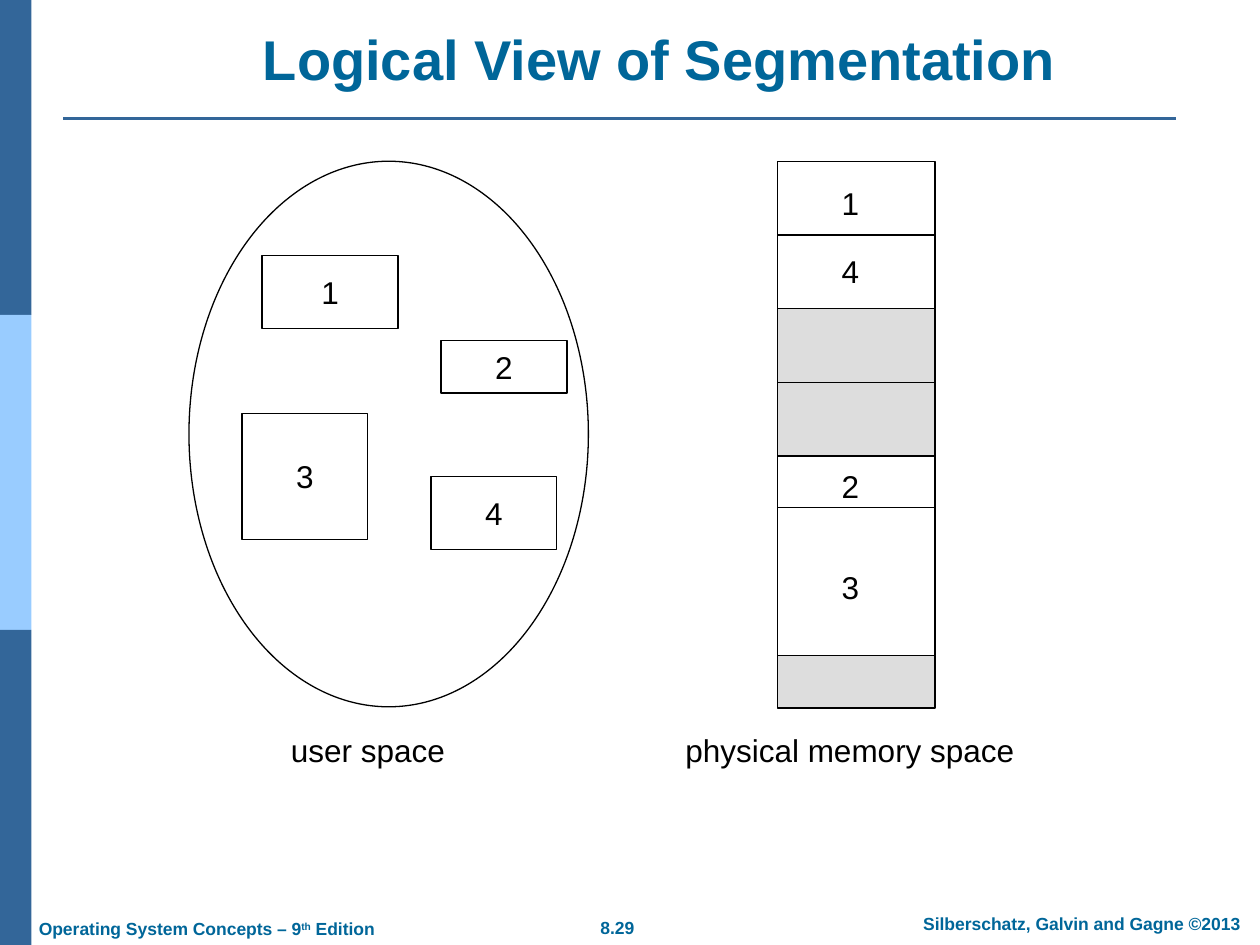
"""Build the Logical View of Segmentation slide."""
from lxml import etree
from pptx import Presentation
from pptx.dml.color import RGBColor
from pptx.enum.shapes import MSO_CONNECTOR as CONN, MSO_SHAPE as SHAPE
from pptx.enum.text import MSO_ANCHOR as ANCHOR, PP_ALIGN as ALIGN
from pptx.oxml.ns import qn
from pptx.util import Inches, Pt

COLORS = {"navy": "336699", "sky": "99CCFF", "teal": "006699",
          "black": "000000", "white": "FFFFFF", "gray": "DDDDDD"}
RGB = {name: RGBColor.from_string(value) for name, value in COLORS.items()}

prs = Presentation()
prs.slide_width, prs.slide_height = Inches(10), Inches(7.5)
s = prs.slides.add_slide(prs.slide_layouts[6])


def add_block(kind, box, fill, line=None):
    sp = s.shapes.add_shape(kind, *[Inches(v) for v in box])
    sp.shadow.inherit = False
    sp.fill.solid()
    sp.fill.fore_color.rgb = RGB[fill]
    if line:
        sp.line.color.rgb = RGB[line]
        sp.line.width = Pt(0.75)
    else:
        sp.line.fill.background()
    return sp


def write(sp, texts, size=18, color="black", bold=False,
          align=ALIGN.CENTER, anchor=ANCHOR.MIDDLE, wrap=False):
    tf = sp.text_frame
    tf.word_wrap = wrap
    tf.vertical_anchor = anchor
    p = tf.paragraphs[0]
    p.alignment = align
    for text in texts:
        r = p.add_run()
        r.text = text
        r.font.name = "Arial"
        r.font.size = Pt(size)
        r.font.bold = bold
        r.font.color.rgb = RGB[color]
    return p


for i, fill in enumerate(["navy", "sky", "navy"]):
    add_block(SHAPE.RECTANGLE, (0, 2.5 * i, 0.25, 2.5), fill)

footers = [
    ((4.41, 7.23, 0.98, 0.27), ["8.29"], ALIGN.CENTER),
    ((7.1, 7.2, 2.97, 0.27), ["Silberschatz, Galvin and Gagne ©2013"], ALIGN.CENTER),
    ((0.21, 7.24, 3, 0.27), ["Operating System Concepts – 9", "th", " Edition"], ALIGN.LEFT),
]
for box, texts, align in footers:
    sp = s.shapes.add_textbox(*[Inches(v) for v in box])
    p = write(sp, texts, 10, "teal", True, align, ANCHOR.TOP, True)
    if len(texts) > 1:
        p.runs[1].font._element.set("baseline", "30000")

title = s.shapes.add_textbox(Inches(0.97), Inches(0.15), Inches(8.53), Inches(0.63))
write(title, ["Logical View of Segmentation"], 32, "teal", True,
      anchor=ANCHOR.BOTTOM, wrap=True)

add_block(SHAPE.OVAL, (1.5, 1.28, 3.17, 4.33), "white", "black")
segments = [
    ("1", (2.08, 2.03, 1.08, 0.58)),
    ("3", (1.92, 3.28, 1, 1)),
    ("2", (3.5, 2.7, 1, 0.42)),
    ("4", (3.42, 3.78, 1, 0.58)),
]
for text, box in segments:
    write(add_block(SHAPE.RECTANGLE, box, "white", "black"), [text])

left, width, top = 6.17, 1.25, 1.28
memory = []
for height, fill in [(1.17, "white"), (1.17, "gray"), (1.58, "white"), (0.42, "gray")]:
    memory.append(add_block(SHAPE.RECTANGLE, (left, top, width, height), fill, "black"))
    top += height

rules = [
    (0.5, 9.33, 0.94, "navy", 1.5, None),
    (left, left + width, 1.86, "black", 0.75, memory[0]),
    (left, left + width, 3.03, "black", 0.75, memory[1]),
    (left, left + width, 4.03, "black", 0.75, None),
]
for x1, x2, y, color, weight, block in rules:
    line = s.shapes.add_connector(CONN.STRAIGHT, Inches(x1), Inches(y), Inches(x2), Inches(y))
    line.line.color.rgb = RGB[color]
    line.line.width = Pt(weight)
    etree.SubElement(line._element.spPr, qn("a:effectLst"))
    if block:
        line.begin_connect(block, 1)
        line.end_connect(block, 3)

labels = [
    ("1", 6.58, 1.41, 0.34),
    ("4", 6.58, 1.95, 0.34),
    ("2", 6.58, 3.66, 0.34),
    ("3", 6.58, 4.46, 0.34),
    ("user space ", 2.21, 5.75, 1.49),
    ("physical memory space", 5.34, 5.75, 2.81),
]
for text, x, y, w in labels:
    write(s.shapes.add_textbox(Inches(x), Inches(y), Inches(w), Inches(0.4)), [text])

prs.save("out.pptx")
